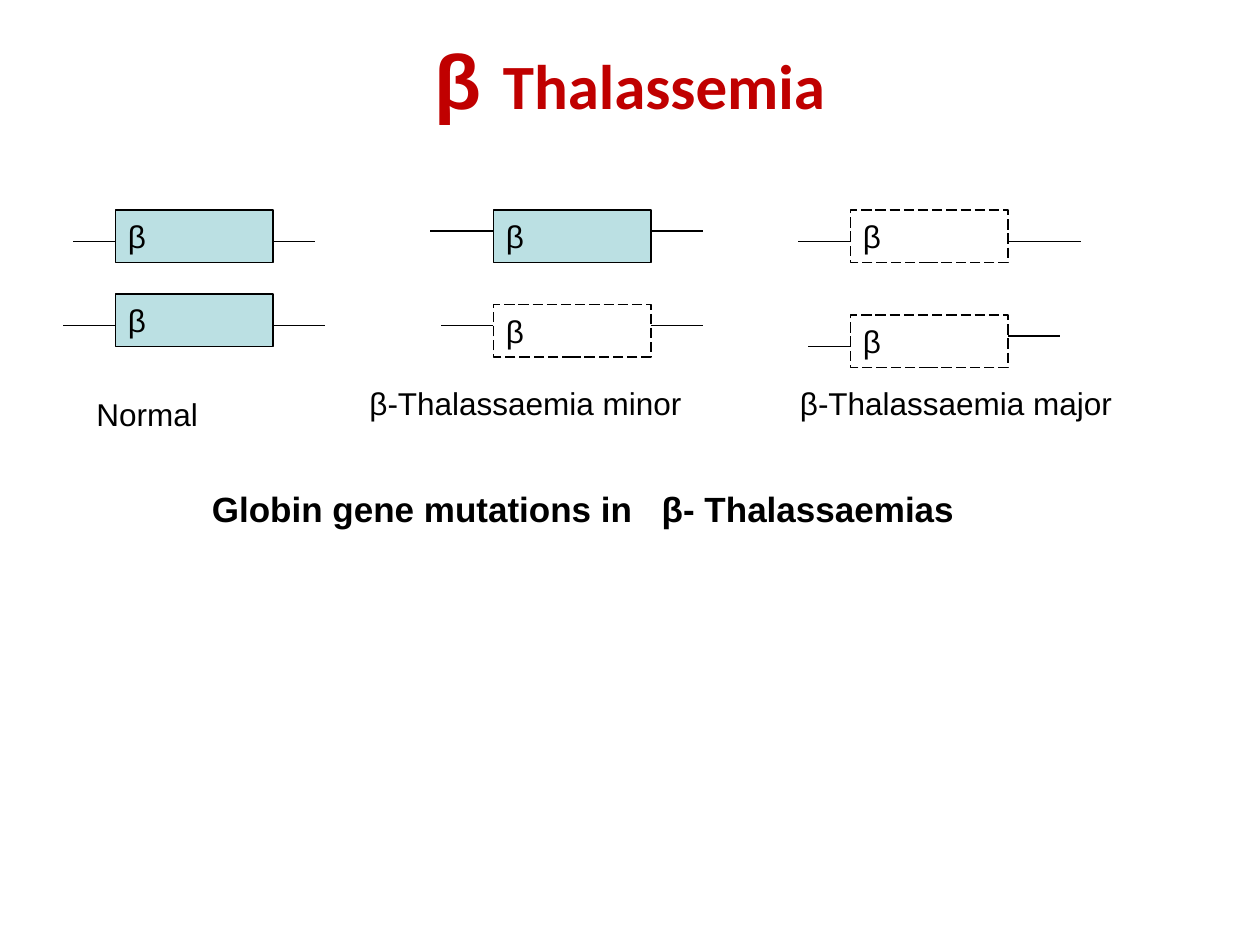
"""Build the slide on globin gene mutations in beta thalassaemias."""
from pptx import Presentation
from pptx.dml.color import RGBColor
from pptx.enum.dml import MSO_LINE
from pptx.enum.shapes import MSO_CONNECTOR, MSO_SHAPE
from pptx.enum.text import MSO_ANCHOR, PP_ALIGN
from pptx.oxml.ns import qn
from pptx.util import Inches, Pt

RECTANGLE, STRAIGHT = MSO_SHAPE.RECTANGLE, MSO_CONNECTOR.STRAIGHT
LONG_DASH = MSO_LINE.LONG_DASH
LEFT, CENTER = PP_ALIGN.LEFT, PP_ALIGN.CENTER
TOP, MIDDLE = MSO_ANCHOR.TOP, MSO_ANCHOR.MIDDLE

COLUMNS, ROWS = 120, 90
BLACK, RED, GENE_FILL = "000000", "C00000", "BBE0E3"
GENE_WIDTH, GENE_HEIGHT = 15, 5
LINE_WIDTH = 0.75
WIDE_GAP = 11

TITLE = [("β ", 44, "Arial"), ("Thalassemia", 36, "Calibri")]
CAPTION = ["Globin gene mutations in", " ", "β- Thalassaemias"]

GENOTYPES = [
    {"label": "Normal", "label_at": (8, 37, 16, 5), "gene_left": 11, "genes": [
        {"top": 20, "intact": True, "strand_left": (7, 23), "strand_right": (30, 23)},
        {"top": 28, "intact": True, "strand_left": (6, 31), "strand_right": (31, 31)}]},
    {"label": "β-Thalassaemia minor", "label_at": (34, 36, 33, 5), "gene_left": 47, "genes": [
        {"top": 20, "intact": True, "strand_left": (41, 22), "strand_right": (67, 22)},
        {"top": 29, "intact": False, "strand_left": (42, 31), "strand_right": (67, 31)}]},
    {"label": "β-Thalassaemia major", "label_at": (75, 36, 40, 5), "gene_left": 81, "genes": [
        {"top": 20, "intact": False, "strand_left": (76, 23), "strand_right": (103, 23)},
        {"top": 30, "intact": False, "strand_left": (77, 33), "strand_right": (101, 32)}]},
]

deck = Presentation()
deck.slide_width, deck.slide_height = Inches(10), Inches(7.5)
page = deck.slides.add_slide(deck.slide_layouts[6])


def color(value):
    return RGBColor.from_string(value)


def place(*cells):
    steps = (deck.slide_width / COLUMNS, deck.slide_height / ROWS) * 2
    return [round(cell * step) for cell, step in zip(cells, steps)]


def add_span(para, text, size=18, font="Arial", ink=BLACK, bold=False):
    span = para.add_run()
    span.text = text
    span.font.size, span.font.name, span.font.bold = Pt(size), font, bold
    span.font.color.rgb = color(ink)
    return span


def prepare_text(box, align=LEFT, anchor=TOP):
    frame = box.text_frame
    frame.word_wrap, frame.vertical_anchor = True, anchor
    para = frame.paragraphs[0]
    para.alignment = align
    return para


def add_text(area, align=LEFT, anchor=TOP):
    return prepare_text(page.shapes.add_textbox(*place(*area)), align, anchor)


def style_line(line):
    line.color.rgb = color(BLACK)
    line.width = Pt(LINE_WIDTH)


def add_gene(left, top, intact):
    box = page.shapes.add_shape(RECTANGLE, *place(left, top, GENE_WIDTH, GENE_HEIGHT))
    box.shadow.inherit = False
    style_line(box.line)
    if intact:
        box.fill.solid()
        box.fill.fore_color.rgb = color(GENE_FILL)
    else:
        box.fill.background()
        box.line.dash_style = LONG_DASH
    add_span(prepare_text(box, anchor=MIDDLE), "β")


def add_strand(gene_edge, end):
    column, row = end
    strand = page.shapes.add_connector(STRAIGHT, *place(gene_edge, row, column, row))
    style_line(strand.line)
    properties = strand._element.spPr
    properties.append(properties.makeelement(qn("a:effectLst"), {}))


title = add_text((6, 0, 108, 15), CENTER, MIDDLE)
for text, size, font in TITLE:
    add_span(title, text, size, font, RED, True)

for genotype in GENOTYPES:
    left = genotype["gene_left"]
    for gene in genotype["genes"]:
        add_gene(left, gene["top"], gene["intact"])
        add_strand(left, gene["strand_left"])
        add_strand(left + GENE_WIDTH, gene["strand_right"])
    add_span(add_text(genotype["label_at"]), genotype["label"])

caption = add_text((19, 45.8, 91, 5.3))
for text in CAPTION:
    span = add_span(caption, text, 20, bold=True)
    if text == " ":
        span._r.get_or_add_rPr().set("spc", str(WIDE_GAP * 100))

deck.save("out.pptx")
